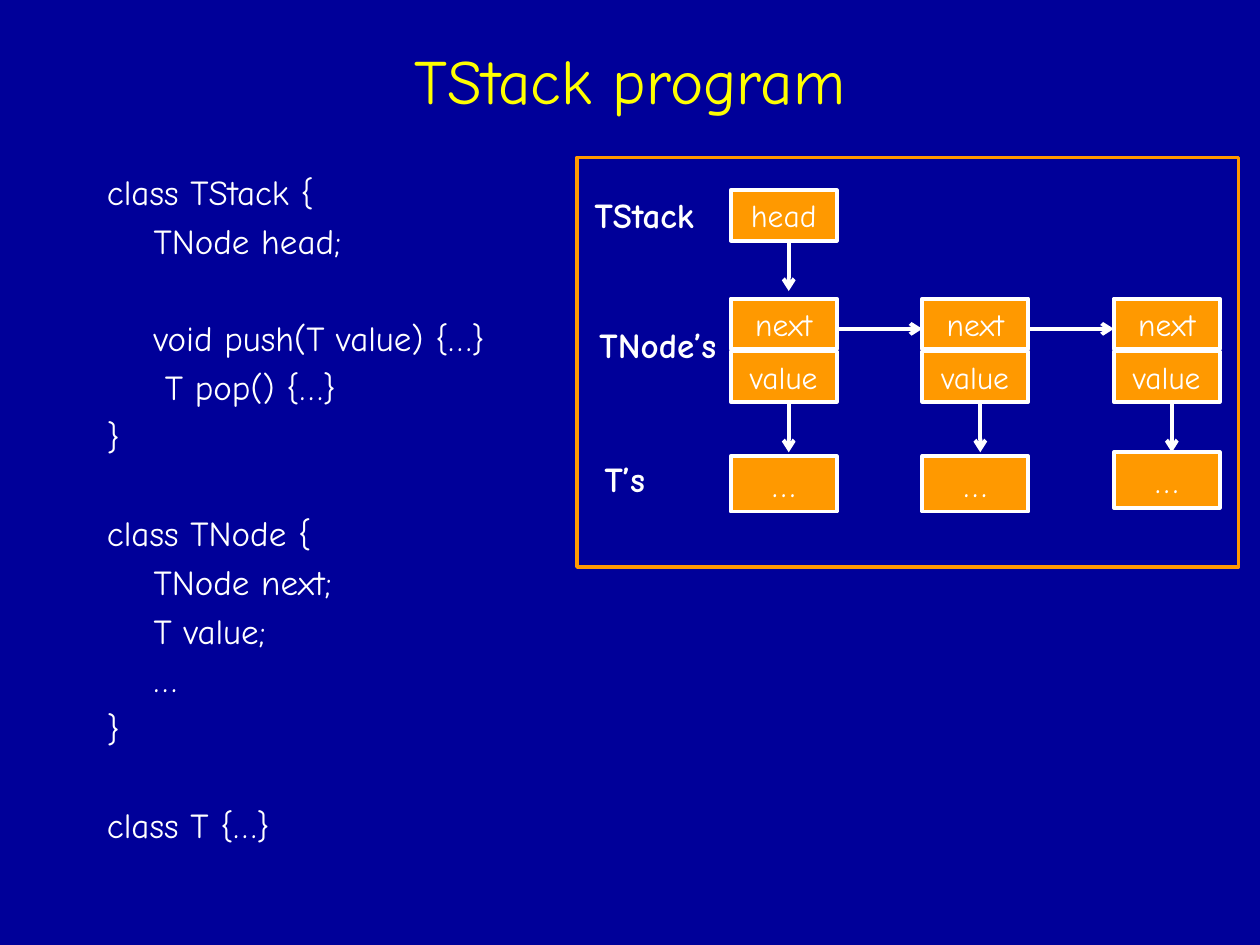
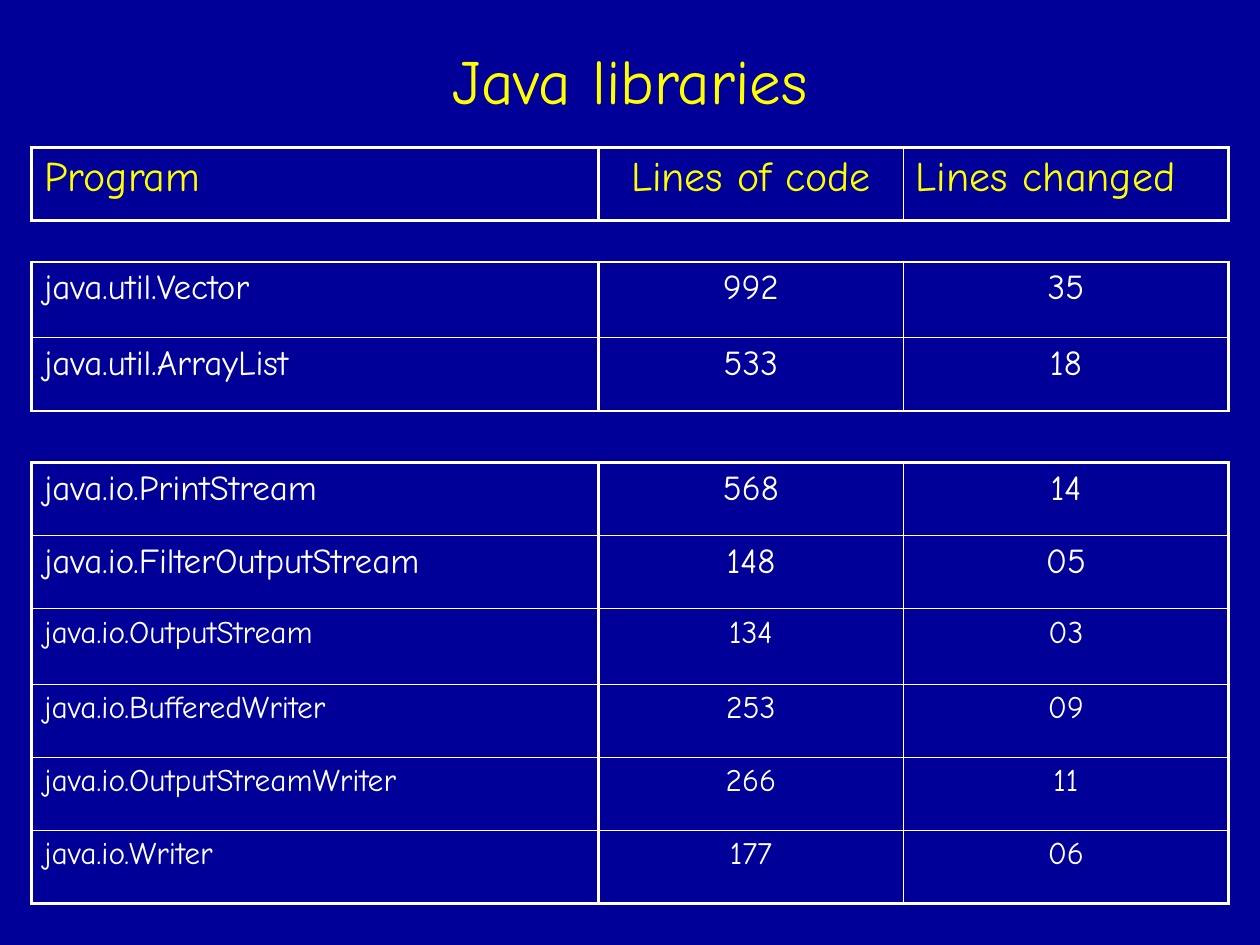
from lxml import etree
from pptx import Presentation
from pptx import util as u
from pptx.dml.color import RGBColor
from pptx.enum import shapes, text
from pptx.oxml import ns

NAVY = RGBColor(0x00, 0x00, 0x99)
YELLOW = RGBColor(0xFF, 0xFF, 0x00)
WHITE = RGBColor(0xFF, 0xFF, 0xFF)
ORANGE = RGBColor(0xFF, 0x99, 0x00)
FONT = "Comic Neue"
LEFT, CENTER = text.PP_ALIGN.LEFT, text.PP_ALIGN.CENTER


def write(p, words, size, color=WHITE, align=LEFT, bold=False, **spacing):
    """Fill one paragraph with a single formatted run."""
    for name, value in {"alignment": align, **spacing}.items():
        setattr(p, name, value)
    r = p.add_run()
    r.text = words
    for name, value in {"name": FONT, "size": u.Pt(size), "bold": bold}.items():
        setattr(r.font, name, value)
    r.font.color.rgb = color


def arrow(s, x1, y1, x2, y2):
    """Draw a white line with an open arrowhead at its end."""
    c = s.shapes.add_connector(shapes.MSO_CONNECTOR.STRAIGHT,
                               *map(u.Inches, (x1, y1, x2, y2)))
    c.line.color.rgb = WHITE
    c.line.width = u.Pt(2.25)
    etree.SubElement(c.line._get_or_add_ln(), ns.qn("a:tailEnd"), type="arrow")
    etree.SubElement(c._element.spPr, ns.qn("a:effectLst"))


prs = Presentation()
prs.slide_width, prs.slide_height = u.Inches(10), u.Inches(7.5)

# Shared background and title
slides = []
for title in ("TStack program", "Java libraries"):
    s = prs.slides.add_slide(prs.slide_layouts[6])
    s.background.fill.solid()
    s.background.fill.fore_color.rgb = NAVY
    tf = s.shapes.add_textbox(*map(u.Inches, (0.75, 0.17, 8.5, 0.92))).text_frame
    tf.word_wrap = True
    tf.vertical_anchor = text.MSO_ANCHOR.MIDDLE
    write(tf.paragraphs[0], title, 36, YELLOW, CENTER)
    slides.append(s)
stack_slide, library_slide = slides

# Code listing: text, indent in inches, whether a gap precedes it
CODE = [
    ("class TStack {", 0, False),
    ("TNode head;", 0.37, False),
    ("void push(T value) {…}", 0.37, True),
    ("T pop() {…}", 0.46, False),
    ("}", 0, False),
    ("class TNode {", 0, True),
    ("TNode next;", 0.37, False),
    ("T value;", 0.37, False),
    ("…", 0.37, False),
    ("}", 0, False),
    ("class T {…}", 0, True),
]
LINE_PITCH = 27.9
s = stack_slide
tf = s.shapes.add_textbox(*map(u.Inches, (0.75, 1.25, 9.25, 6.01))).text_frame
tf.word_wrap = True
for i, (line, indent, gap) in enumerate(CODE):
    p = tf.add_paragraph() if i else tf.paragraphs[0]
    write(p, line, 20, line_spacing=1.16, space_before=u.Pt(LINE_PITCH if gap else 0))
    p._p.get_or_add_pPr().set("marL", str(u.Inches(indent)))

# Diagram boxes: one column per node, the head above the first
BOX_W, BOX_H, VALUE_H, PITCH = 0.84, 0.4, 0.44, 1.52
columns = [5.8 + PITCH * i for i in range(3)]
boxes = [("head", columns[0], 1.51, BOX_H, 18)]
for x, value_top in zip(columns, (3.62, 3.62, 3.59)):
    boxes += [("value", x, 2.79, BOX_H, 18),
              ("next", x, 2.37, BOX_H, 18),
              ("…", x, value_top, VALUE_H, 20)]
for label, x, y, h, size in boxes:
    sp = s.shapes.add_shape(shapes.MSO_SHAPE.RECTANGLE, *map(u.Inches, (x, y, BOX_W, h)))
    sp.shadow.inherit = False
    sp.fill.solid()
    sp.fill.fore_color.rgb = ORANGE
    sp.line.color.rgb = WHITE
    sp.line.width = u.Pt(2.25)
    sp.text_frame.vertical_anchor = text.MSO_ANCHOR.TOP
    write(sp.text_frame.paragraphs[0], label, size, align=CENTER)

# Diagram arrows
for x in columns[:-1]:
    arrow(s, x + BOX_W, 2.61, x + PITCH, 2.61)
for x, y in [(x, 3.21) for x in columns] + [(columns[0], 1.93)]:
    arrow(s, x + 0.46, y, x + 0.46, y + 0.38)

# Diagram row labels and frame
for label, x, y, w in (("TStack", 4.62, 1.49, 0.99),
                       ("TNode’s", 4.66, 2.52, 1.13),
                       ("T’s", 4.7, 3.58, 0.52)):
    tf = s.shapes.add_textbox(*map(u.Inches, (x, y, w, 0.44))).text_frame
    tf.word_wrap = False
    write(tf.paragraphs[0], label, 20, bold=True)
frame = s.shapes.add_shape(shapes.MSO_SHAPE.RECTANGLE,
                           *map(u.Inches, (4.58, 1.25, 5.25, 3.25)))
frame.shadow.inherit = False
frame.fill.background()
frame.line.color.rgb = ORANGE
frame.line.width = u.Pt(2.25)

# Library tables: top, row heights, text size, space before, colour,
# top and bottom border widths, rows
THICK, THIN = 1.47, 0.45
COLUMN_WIDTHS = (4.5, 2.42, 2.58)
SIDES = ((THICK, THICK), (THICK, THIN), (THIN, THICK))
TABLES = [
    (1.17, [0.58], 24, 6, YELLOW, THICK, THICK,
     [("Program", "Lines of code", "Lines changed")]),
    (2.08, [0.6, 0.58], 20, 5, WHITE, THICK, THICK,
     [("java.util.Vector", "992", "35"),
      ("java.util.ArrayList", "533", "18")]),
    (3.67, [0.58, 0.58], 20, 5, WHITE, THICK, THIN,
     [("java.io.PrintStream", "568", "14"),
      ("java.io.FilterOutputStream", "148", "05")]),
    (4.83, [0.6, 0.58, 0.58, 0.58], 18, 4.5, WHITE, THIN, THICK,
     [("java.io.OutputStream", "134", "03"),
      ("java.io.BufferedWriter", "253", "09"),
      ("java.io.OutputStreamWriter", "266", "11"),
      ("java.io.Writer", "177", "06")]),
]
for top, heights, size, before, color, top_w, bottom_w, rows in TABLES:
    tbl = library_slide.shapes.add_table(
        len(rows), len(COLUMN_WIDTHS),
        *map(u.Inches, (0.25, top, sum(COLUMN_WIDTHS), sum(heights)))).table
    tbl.first_row = tbl.horz_banding = False
    for col, width in zip(tbl.columns, COLUMN_WIDTHS):
        col.width = u.Inches(width)
    for i, (row, height) in enumerate(zip(rows, heights)):
        tbl.rows[i].height = u.Inches(height)
        for j, words in enumerate(row):
            cell = tbl.cell(i, j)
            left_aligned = j == 0 or words == "Lines changed"
            write(cell.text_frame.paragraphs[0], words, size, color,
                  LEFT if left_aligned else CENTER, space_before=u.Pt(before))
            borders = {"lnL": SIDES[j][0], "lnR": SIDES[j][1],
                       "lnT": top_w if i == 0 else THIN,
                       "lnB": bottom_w if i == len(rows) - 1 else THIN}
            for tag, width in borders.items():
                ln = etree.SubElement(cell._tc.get_or_add_tcPr(), ns.qn("a:" + tag),
                                      w=str(u.Pt(width)))
                fill = etree.SubElement(ln, ns.qn("a:solidFill"))
                etree.SubElement(fill, ns.qn("a:srgbClr"), val=str(WHITE))
            cell.fill.background()

prs.save("out.pptx")
